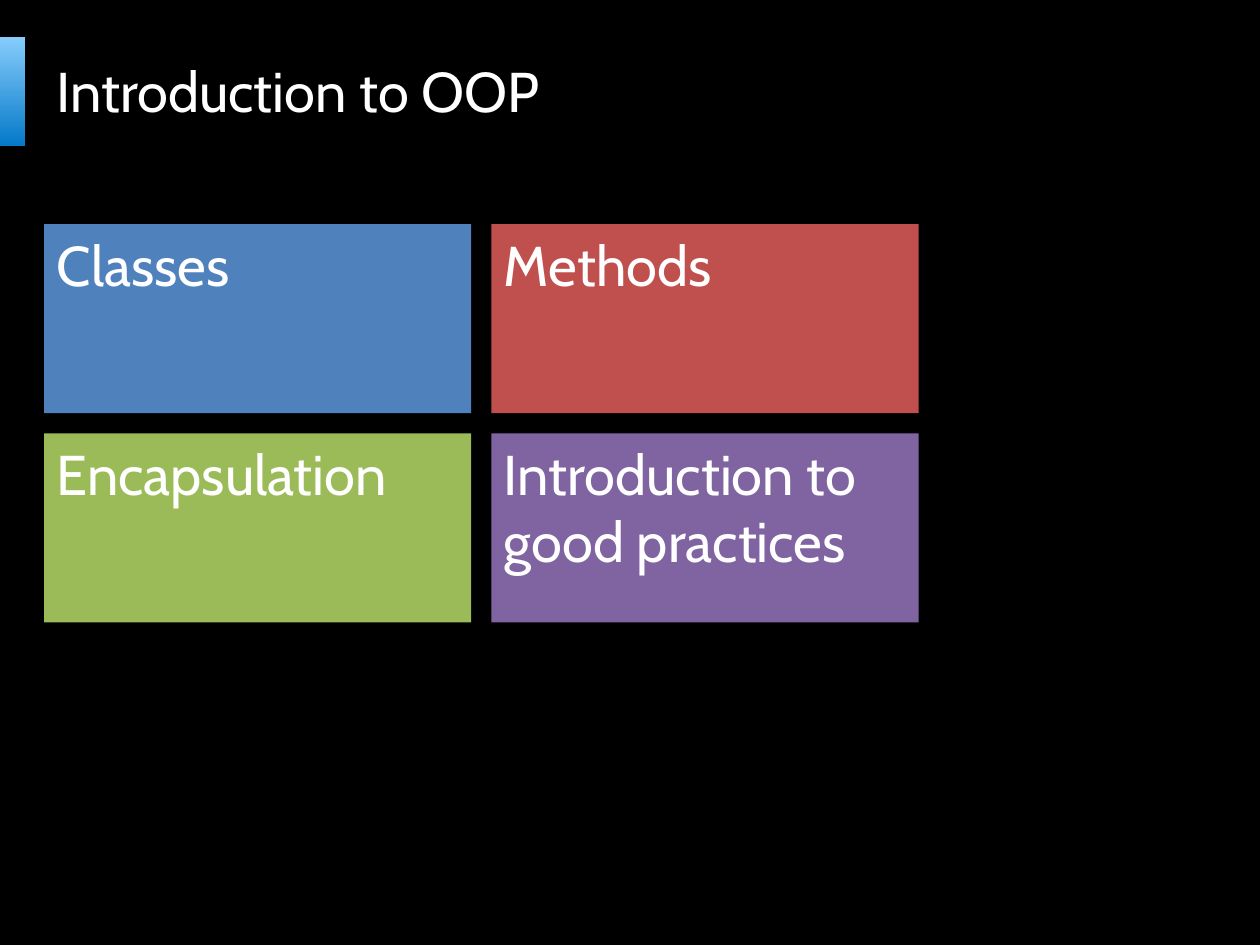
from pptx import Presentation, util as u
from pptx.dml.color import RGBColor
from pptx.enum import shapes, text

FONT = "Cabin"
WHITE = "FFFFFF"
TOPICS = [
    ("Classes", "4F81BD"),
    ("Methods", "C0504D"),
    ("Encapsulation", "9BBB59"),
    ("Introduction to good practices", "8064A2"),
]


def color(hex_string):
    """Return the colour for a hex string."""
    return RGBColor.from_string(hex_string)


def add_rectangle(slide, left, top, width, height):
    """Add a rectangle without line or shadow, measured in inches."""
    shape = slide.shapes.add_shape(
        shapes.MSO_SHAPE.RECTANGLE,
        u.Inches(left), u.Inches(top), u.Inches(width), u.Inches(height),
    )
    shape.shadow.inherit = False
    shape.line.fill.background()
    return shape


def write(shape, wording, anchor):
    """Write left-aligned white text into a shape."""
    frame = shape.text_frame
    frame.text = wording
    frame.word_wrap = True
    frame.vertical_anchor = anchor
    paragraph = frame.paragraphs[0]
    paragraph.alignment = text.PP_ALIGN.LEFT
    font = paragraph.runs[0].font
    font.name = FONT
    font.size = u.Pt(32)
    font.color.rgb = color(WHITE)
    return paragraph


def add_header(slide, left, top, width, height):
    """Place the gradient marker and the title beside it."""
    marker = add_rectangle(slide, left, top, 0.2, height)
    marker.fill.gradient()
    marker.fill.gradient_angle = 270
    for stop, shade in zip(marker.fill.gradient_stops, ("87CDFC", "0479C8")):
        stop.color.rgb = color(shade)
    indent = 0.35
    title = slide.shapes.add_textbox(
        u.Inches(left + indent), u.Inches(top),
        u.Inches(width - indent), u.Inches(height - 0.02),
    )
    write(title, "Introduction to OOP", text.MSO_ANCHOR.MIDDLE)


def add_topics(slide, left, top, width, height, columns=2, gap=0.16):
    """Place the topic tiles in an evenly spaced grid."""
    rows = len(TOPICS) // columns
    tile_width = (width - gap * (columns - 1)) / columns
    tile_height = (height - gap * (rows - 1)) / rows
    for index, (wording, shade) in enumerate(TOPICS):
        row, column = divmod(index, columns)
        tile = add_rectangle(
            slide,
            left + column * (tile_width + gap),
            top + row * (tile_height + gap),
            tile_width, tile_height,
        )
        tile.fill.solid()
        tile.fill.fore_color.rgb = color(shade)
        paragraph = write(tile, wording, text.MSO_ANCHOR.TOP)
        paragraph.space_before = u.Pt(6.4)


def main():
    """Build and save the presentation."""
    presentation = Presentation()
    presentation.slide_width = u.Inches(10)
    presentation.slide_height = u.Inches(7.5)
    slide = presentation.slides.add_slide(presentation.slide_layouts[6])
    slide.background.fill.solid()
    slide.background.fill.fore_color.rgb = color("000000")
    add_header(slide, 0, 0.29, 7.44, 0.87)
    add_topics(slide, 0.35, 1.78, 6.94, 3.16)
    presentation.save("out.pptx")


main()
